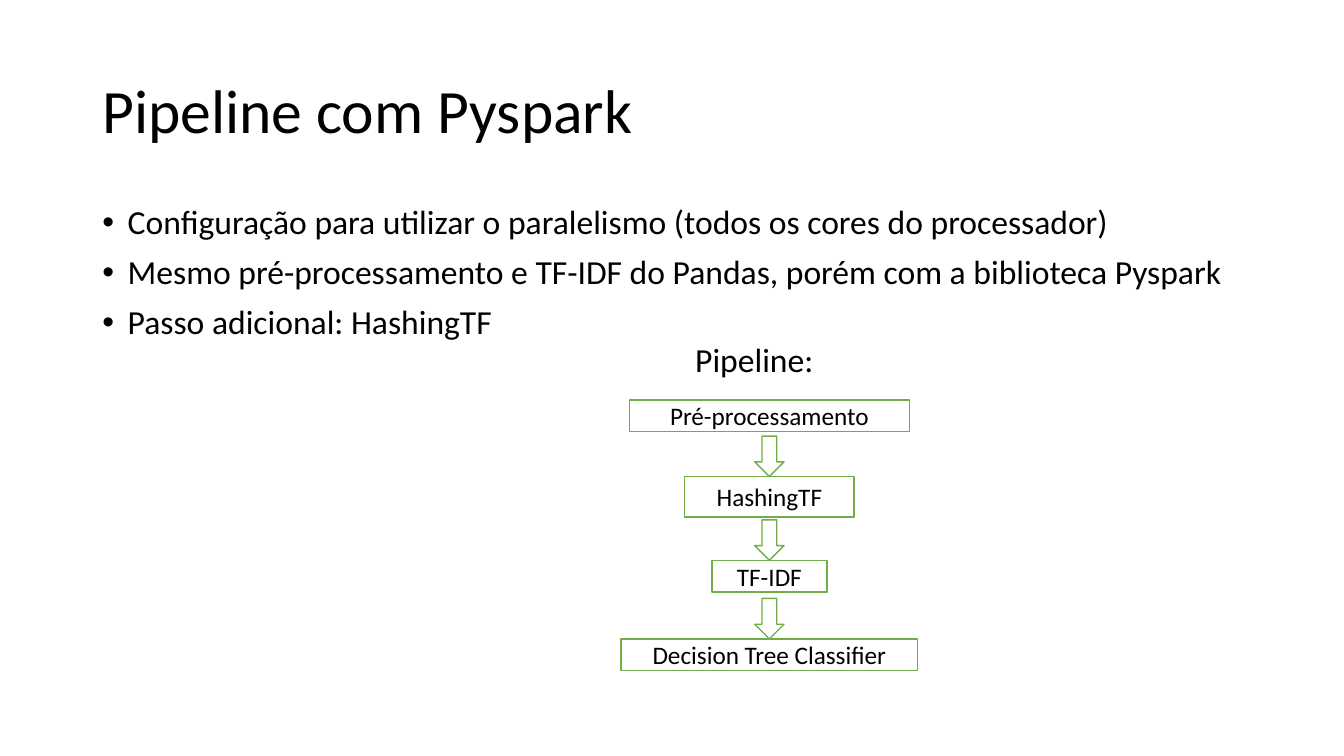
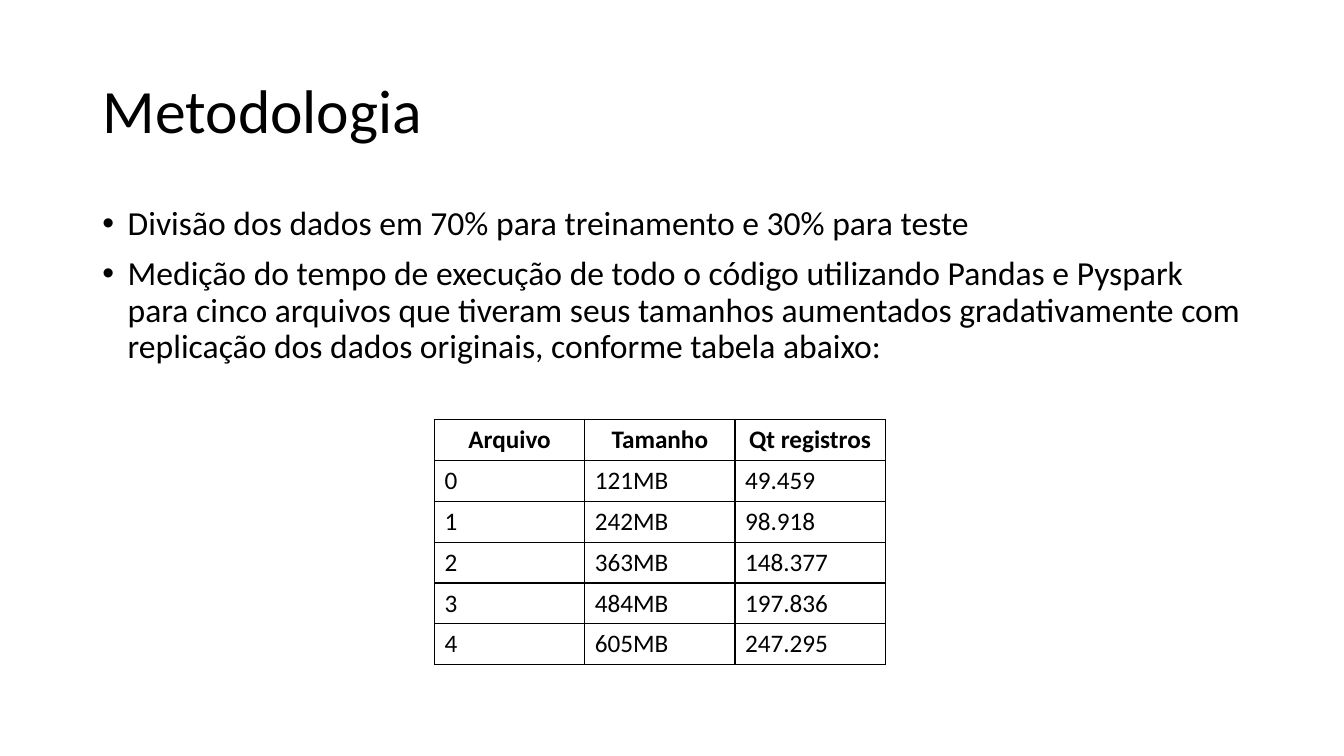
import pptx
import pptx.dml.color
import pptx.enum.shapes
import pptx.enum.text
import pptx.oxml
import pptx.oxml.ns
import pptx.util
from lxml import etree
from pptx.util import Cm, Pt

FONT = "Calibri"
BLACK = "000000"
WHITE = "FFFFFF"
GREEN = "70AD47"
TITLE_BOX = (2.33, 1.02, 29.21, 3.68)
LEFT = pptx.enum.text.PP_ALIGN.LEFT
CENTER = pptx.enum.text.PP_ALIGN.CENTER
MIDDLE = pptx.enum.text.MSO_ANCHOR.MIDDLE
RECTANGLE = pptx.enum.shapes.MSO_SHAPE.RECTANGLE
DOWN_ARROW = pptx.enum.shapes.MSO_SHAPE.DOWN_ARROW


def color(value):
    return pptx.dml.color.RGBColor.from_string(value)


def format_paragraph(paragraph, size, alignment=LEFT, bold=False, line_spacing=None, before=0):
    paragraph.alignment = alignment
    paragraph.space_before = Pt(before)
    if line_spacing:
        paragraph.line_spacing = line_spacing
    for run in paragraph.runs:
        run.font.name = FONT
        run.font.size = Pt(size)
        run.font.bold = bold
        run.font.color.rgb = color(BLACK)


def add_bullet(paragraph):
    properties = paragraph._p.get_or_add_pPr()
    properties.set("marL", str(Cm(0.64)))
    properties.set("indent", str(-Cm(0.64)))
    font = etree.SubElement(properties, pptx.oxml.ns.qn("a:buFont"))
    font.set("typeface", "Arial")
    character = etree.SubElement(properties, pptx.oxml.ns.qn("a:buChar"))
    character.set("char", "•")


def add_titled_slide(presentation, title):
    slide = presentation.slides.add_slide(presentation.slide_layouts[5])
    shape = slide.shapes.title
    shape.left, shape.top, shape.width, shape.height = map(Cm, TITLE_BOX)
    shape.text_frame.text = title
    shape.text_frame.vertical_anchor = MIDDLE
    shape.text_frame.auto_size = pptx.enum.text.MSO_AUTO_SIZE.NONE
    format_paragraph(shape.text_frame.paragraphs[0], 44, line_spacing=0.9)
    return slide


def add_text(slide, box, lines, bulleted=False):
    text_frame = slide.shapes.add_textbox(*map(Cm, box)).text_frame
    text_frame.word_wrap = True
    text_frame.text = "\n".join(lines)
    for paragraph in text_frame.paragraphs:
        format_paragraph(paragraph, 24, line_spacing=0.9, before=10)
        if bulleted:
            add_bullet(paragraph)


def add_outlined(shapes, kind, center, top, width, height):
    shape = shapes.add_shape(kind, Cm(center - width / 2), Cm(top), Cm(width), Cm(height))
    shape.shadow.inherit = False
    shape.fill.solid()
    shape.fill.fore_color.rgb = color(WHITE)
    shape.line.color.rgb = color(GREEN)
    shape.line.width = Pt(1)
    return shape


def add_flow(slide, center, top, steps):
    shapes = slide.shapes.add_group_shape().shapes
    arrow_width, arrow_height = 0.74, 1.02
    for label, offset, width, height in steps:
        step = add_outlined(shapes, RECTANGLE, center, top + offset, width, height)
        text_frame = step.text_frame
        text_frame.margin_top = text_frame.margin_bottom = 0
        text_frame.vertical_anchor = MIDDLE
        text_frame.text = label
        format_paragraph(text_frame.paragraphs[0], 18, CENTER)
    for label, offset, width, height in steps[1:]:
        add_outlined(shapes, DOWN_ARROW, center, top + offset - arrow_height,
                     arrow_width, arrow_height)


def add_borders(cell):
    properties = cell._tc.get_or_add_tcPr()
    namespace = pptx.oxml.ns.nsdecls("a")
    for position, side in enumerate(("lnL", "lnR", "lnT", "lnB")):
        border = pptx.oxml.parse_xml(
            f'<a:{side} {namespace} w="{Pt(1)}"><a:solidFill>'
            f'<a:srgbClr val="{BLACK}"/></a:solidFill></a:{side}>')
        properties.insert(position, border)


def add_grid(slide, box, rows):
    left, top, width, height = map(Cm, box)
    table = slide.shapes.add_table(len(rows), len(rows[0]), left, top, width, height).table
    table.first_row = True
    table.horz_banding = False
    for row_index, values in enumerate(rows):
        header = row_index == 0
        for column_index, value in enumerate(values):
            cell = table.cell(row_index, column_index)
            cell.fill.background()
            cell.text_frame.text = value
            format_paragraph(cell.text_frame.paragraphs[0], 18,
                             CENTER if header else LEFT, bold=header)
            add_borders(cell)


def build_pipeline(presentation):
    slide = add_titled_slide(presentation, "Pipeline com Pyspark")
    add_text(slide, (2.33, 5.05, 29.21, 3.9), [
        "Configuração para utilizar o paralelismo (todos os cores do processador)",
        "Mesmo pré-processamento e TF-IDF do Pandas, porém com a biblioteca Pyspark",
        "Passo adicional: HashingTF",
    ], bulleted=True)
    add_flow(slide, 19.39, 10.08, [
        ("Pré-processamento", 0, 7.06, 0.8),
        ("HashingTF", 1.93, 4.27, 1.02),
        ("TF-IDF", 4.04, 2.9, 0.8),
        ("Decision Tree Classifier", 6.02, 7.47, 0.8),
    ])
    add_text(slide, (17.27, 8.53, 4.37, 1.35), ["Pipeline:"])


def build_methodology(presentation):
    slide = add_titled_slide(presentation, "Metodologia")
    add_text(slide, (2.33, 5.08, 29.21, 5.9), [
        "Divisão dos dados em 70% para treinamento e 30% para teste",
        "Medição do tempo de execução de todo o código utilizando Pandas e Pyspark "
        "para cinco arquivos que tiveram seus tamanhos aumentados gradativamente com "
        "replicação dos dados originais, conforme tabela abaixo:",
    ], bulleted=True)
    add_grid(slide, (10.95, 10.57, 11.36, 6.18), [
        ("Arquivo", "Tamanho", "Qt registros"),
        ("0", "121MB", "49.459"),
        ("1", "242MB", "98.918"),
        ("2", "363MB", "148.377"),
        ("3", "484MB", "197.836"),
        ("4", "605MB", "247.295"),
    ])


def main():
    presentation = pptx.Presentation()
    presentation.slide_width = Cm(33.87)
    presentation.slide_height = Cm(19.05)
    build_pipeline(presentation)
    build_methodology(presentation)
    presentation.save("out.pptx")


if __name__ == "__main__":
    main()
